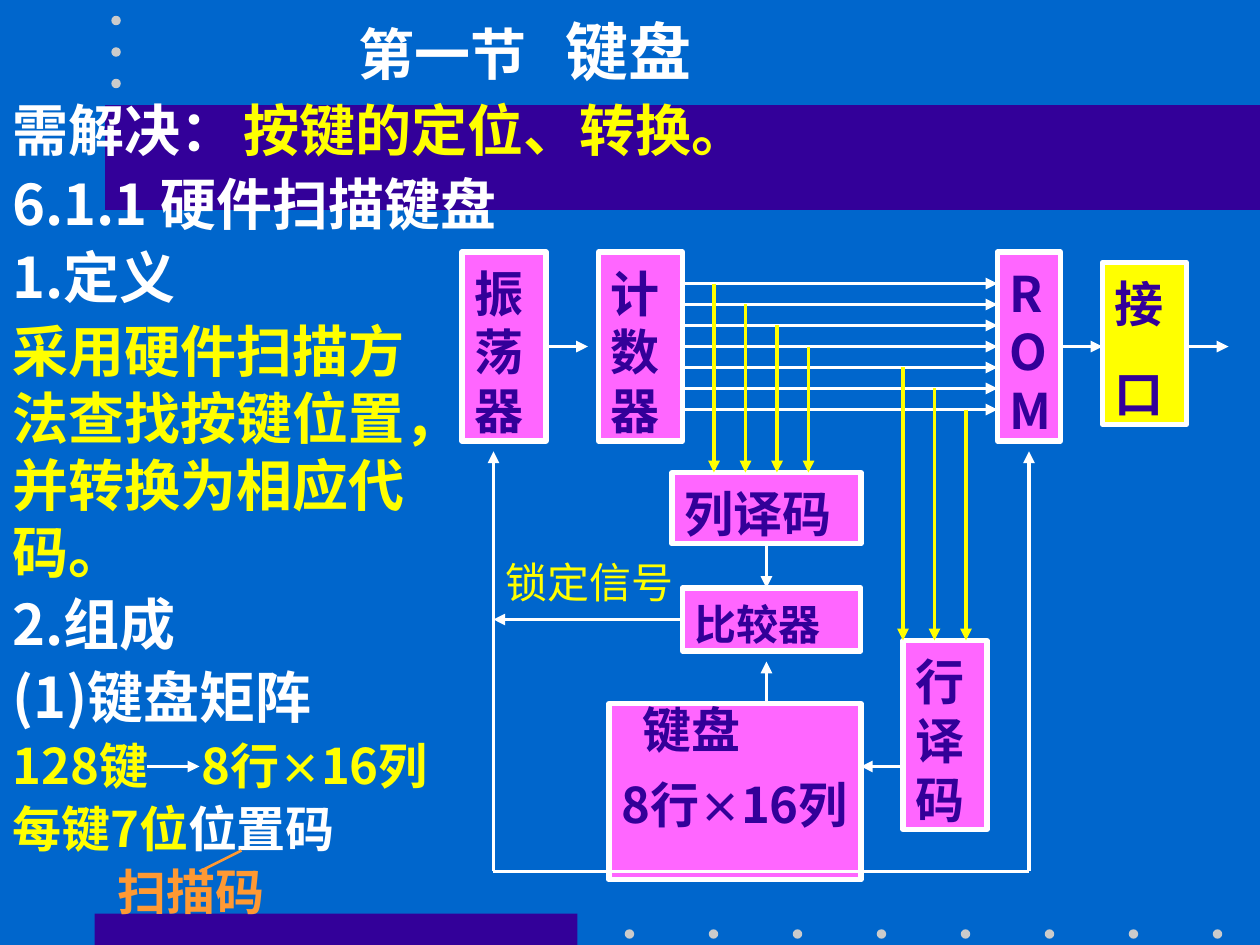
from pptx import Presentation
from pptx.dml.color import RGBColor
from pptx.enum.shapes import MSO_CONNECTOR, MSO_SHAPE as SHAPE
from pptx.enum.text import MSO_ANCHOR, MSO_AUTO_SIZE, PP_ALIGN
from pptx.oxml.ns import qn
from pptx.util import Emu, Pt
from lxml.etree import SubElement

PX = 7620
NOTO, TIMES = "Noto Sans CJK SC", "Times New Roman"
WHITE, YELLOW, PINK = "FFFFFF", "FFFF00", "FF66FF"
PURPLE, ORANGE, GRAY, BLUE = "330099", "FF9933", "CBCBCB", "0066CC"

BANDS = [(90, 870, 460, 30), (100, 100, 1100, 100)]
DOTS = [(595 + 80 * i, 885) for i in range(8)] + [(106, 15 + 30 * i) for i in range(3)]

BOXES = [
    (640, 450, 180, 68, PINK, TIMES, 28, ["列译码"]),
    (440, 240, 80, 180, PINK, TIMES, 28, ["振荡器"]),
    (570, 240, 80, 180, PINK, TIMES, 28, ["计数器"]),
    (950, 240, 60, 180, PINK, NOTO, 28, ["ROM"]),
    (1050, 250, 80, 154, YELLOW, TIMES, 28, ["接", "口"]),
    (650, 560, 170, 60, PINK, TIMES, 24, ["比较器"]),
    (860, 610, 80, 180, PINK, TIMES, 28, ["行译码"]),
]
KEYBOARD_BOX = (580, 670, 240, 168)
MATRIX = [("8行", 28, YELLOW), ("×", 24, YELLOW), ("16列", 28, YELLOW)]

BUS_Y = [270 + 20 * i for i in range(7)]
COLUMN_TAPS, ROW_TAPS = BUS_Y[:4], BUS_Y[4:]
ARROWS = [
    (520, 330, 560, 330), (1010, 330, 1050, 330), (1130, 330, 1170, 330),
    (860, 730, 820, 730), (730, 520, 730, 560), (730, 670, 730, 630),
    (650, 590, 470, 590), (470, 830, 470, 430), (980, 830, 980, 430),
]

TEXTS = [
    (330, 0, 670, 84, NOTO, [("第一节\t", 32, WHITE), ("键盘", 36, WHITE)]),
    (0, 80, 280, 77, NOTO, [("需解决：", 32, WHITE)]),
    (0, 290, 440, 269, NOTO, [("采用硬件扫描方法查找按键位置，并转换为相应代码。", 32, YELLOW)]),
    (220, 80, 610, 77, NOTO, [("按键的定位、转换。", 32, YELLOW)]),
    (0, 150, 660, 77, NOTO, [("6.1.1 硬件扫描键盘", 32, WHITE)]),
    (0, 220, 360, 77, NOTO, [("1.定义", 32, WHITE)]),
    (0, 550, 360, 77, NOTO, [("2.组成", 32, WHITE)]),
    (0, 620, 360, 77, NOTO, [("(1)键盘矩阵", 32, WHITE)]),
    (0, 690, 200, 68, NOTO, [("128键", 28, YELLOW)]),
    (180, 690, 290, 68, NOTO, MATRIX),
    (0, 750, 440, 68, NOTO, [("每键7位", 28, YELLOW), ("位置码", 28, WHITE)]),
    (100, 810, 190, 68, TIMES, [("扫描码", 28, ORANGE)]),
]

prs = Presentation()
prs.slide_width, prs.slide_height = Emu(1200 * PX), Emu(900 * PX)
slide = prs.slides.add_slide(prs.slide_layouts[6])


def rgb(color):
    return RGBColor.from_string(color)


def emu(*lengths):
    return [Emu(n * PX) for n in lengths]


def add_shape(kind, box, fill, line=None):
    s = slide.shapes.add_shape(kind, *emu(*box))
    s.shadow.inherit = False
    s.fill.solid()
    s.fill.fore_color.rgb = rgb(fill)
    if line:
        s.line.color.rgb = rgb(line)
        s.line.width = Pt(3)
    else:
        s.line.fill.background()
    return s


def add_line(x1, y1, x2, y2, color=WHITE, width=2.25, arrow=True):
    c = slide.shapes.add_connector(MSO_CONNECTOR.STRAIGHT, *emu(x1, y1, x2, y2))
    c.line.color.rgb = rgb(color)
    c.line.width = Pt(width)
    if arrow:
        SubElement(c.line._get_or_add_ln(), qn("a:tailEnd"), type="triangle")
    SubElement(c._element.spPr, qn("a:effectLst"))


def write(s, paragraphs, font, bold=True, leading=1.2, indent=0, tab=0):
    tf = s.text_frame
    tf.word_wrap = True
    tf.auto_size = MSO_AUTO_SIZE.NONE
    tf.vertical_anchor = MSO_ANCHOR.TOP
    tf.margin_left = tf.margin_right = Emu(12 * PX)
    size = max(run[1] for run in paragraphs[0])
    tf.margin_top, tf.margin_bottom = Emu(6 * PX) + Pt(size * 0.1), Emu(6 * PX)
    for i, runs in enumerate(paragraphs):
        p = tf.paragraphs[0] if i == 0 else tf.add_paragraph()
        p.alignment = PP_ALIGN.LEFT
        p.line_spacing = Pt(leading * max(run[1] for run in runs))
        if i:
            p.space_before = Pt(17.5)
        elif indent:
            p._p.get_or_add_pPr().set("marL", str(indent * PX))
        if tab:
            tabs = SubElement(p._p.get_or_add_pPr(), qn("a:tabLst"))
            SubElement(tabs, qn("a:tab"), pos=str(tab * PX), algn="l")
        for text, points, color in runs:
            r = p.add_run()
            r.text = text
            r.font.name, r.font.size, r.font.bold = font, Pt(points), bold
            r.font.color.rgb = rgb(color)
            SubElement(r._r.get_or_add_rPr(), qn("a:ea"), typeface=NOTO)


def add_text(x, y, w, h, font, runs, **options):
    write(slide.shapes.add_textbox(*emu(x, y, w, h)), [runs], font, **options)


slide.background.fill.solid()
slide.background.fill.fore_color.rgb = rgb(BLUE)
for band in BANDS:
    add_shape(SHAPE.RECTANGLE, band, PURPLE)
for x, y in DOTS:
    add_shape(SHAPE.OVAL, (x, y, 9, 9), GRAY)

for *box, fill, font, size, lines in BOXES:
    s = add_shape(SHAPE.RECTANGLE, box, fill, WHITE)
    write(s, [[(line, size, PURPLE)] for line in lines], font)
keyboard = add_shape(SHAPE.RECTANGLE, KEYBOARD_BOX, PINK, WHITE)
matrix_label = [(text, size, PURPLE) for text, size, _ in MATRIX]
write(keyboard, [[("键盘", 28, PURPLE)], matrix_label], NOTO, leading=0.9, indent=20)

for y in BUS_Y:
    add_line(650, y, 950, y)
for taps, left, bottom in [(COLUMN_TAPS, 680, 450), (ROW_TAPS, 860, 610)]:
    for i, y in enumerate(taps):
        add_line(left + 30 * i, y, left + 30 * i, bottom, YELLOW)
for ends in ARROWS:
    add_line(*ends)
add_line(470, 830, 980, 830, arrow=False)
add_text(470, 520, 250, 60, TIMES, [("锁定信号", 24, YELLOW)], bold=False)

for x, y, w, h, font, runs in TEXTS:
    add_text(x, y, w, h, font, runs, tab=197 if "\t" in runs[0][0] else 0)
add_line(140, 730, 190, 730)
add_line(230, 810, 190, 830, ORANGE, 1.5, arrow=False)

prs.save("out.pptx")
